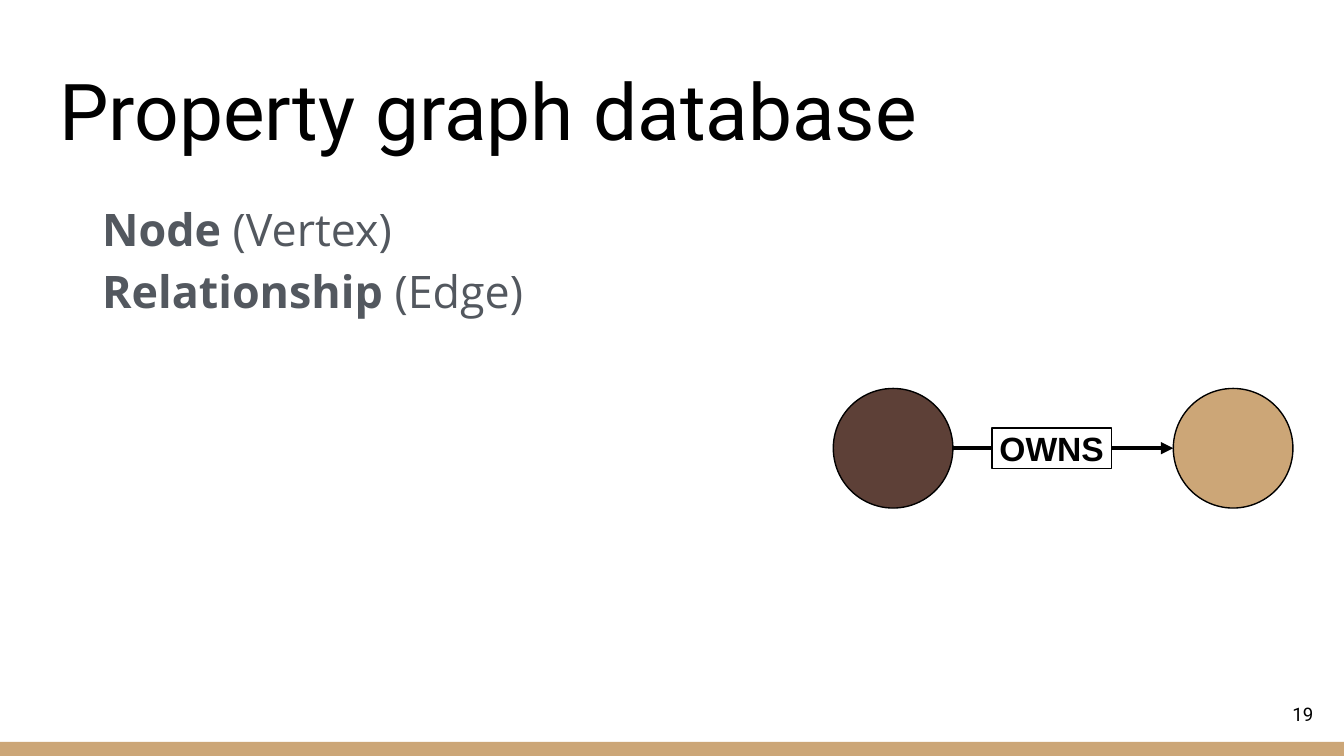
from pptx import Presentation
from pptx.dml.color import RGBColor
from pptx.enum.shapes import MSO_CONNECTOR, MSO_SHAPE
from pptx.enum.text import MSO_ANCHOR, MSO_AUTO_SIZE, PP_ALIGN
from pptx.oxml.ns import qn
from pptx.util import Inches, Pt
from lxml.etree import SubElement

# Content
TITLE = "Property graph database"
TERMS = [("Node ", "(Vertex)"), ("Relationship ", "(Edge)")]
EDGE_LABEL = "OWNS"
PAGE = "19"

COLORS = {"black": "000000", "white": "FFFFFF", "gray": "53585F",
          "brown": "5D4037", "tan": "CCA677"}
FORMATS = {
    "title": {"size": Pt(42), "name": "Roboto", "bold": False},
    "page": {"size": Pt(10), "name": "Roboto"},
    "term": {"size": Pt(24), "name": "Open Sans", "bold": True},
    "note": {"size": Pt(24), "name": "Open Sans", "bold": False},
    "edge": {"size": Pt(18), "name": "Arial", "bold": True},
}

# Graph geometry
NODE_SIZE = 0.89
NODES = [(6.2, "brown"), (8.73, "tan")]
NODE_TOP = 2.89
LABEL_LEFT, LABEL_W, LABEL_H = 7.38, 0.89, 0.3


def rgb(name):
    return RGBColor.from_string(COLORS[name])


def add_run(p, text, style, color="black"):
    r = p.add_run()
    r.text = text
    for key, value in FORMATS[style].items():
        setattr(r.font, key, value)
    r.font.color.rgb = rgb(color)


def set_frame(sp, anchor, margin=0.1):
    tf = sp.text_frame
    settings = {"word_wrap": True, "auto_size": MSO_AUTO_SIZE.NONE,
                "vertical_anchor": anchor}
    for side in ("left", "top", "right", "bottom"):
        settings[f"margin_{side}"] = Inches(margin)
    for key, value in settings.items():
        setattr(tf, key, value)
    return tf


def place(sp, *box):
    for key, value in zip(("left", "top", "width", "height"), box):
        setattr(sp, key, Inches(value))


def add_shape(kind, box, fill, outlined=True):
    sp = s.shapes.add_shape(kind, *map(Inches, box))
    sp.shadow.inherit = False
    sp.fill.solid()
    sp.fill.fore_color.rgb = rgb(fill)
    if outlined:
        sp.line.color.rgb = rgb("black")
        sp.line.width = Pt(0.75)
    else:
        sp.line.fill.background()
    return sp


# Widescreen slide, 16:9
prs = Presentation()
prs.slide_width = Inches(10)
prs.slide_height = prs.slide_width * 9 // 16
s = prs.slides.add_slide(prs.slide_layouts[1])

# Footer band and page number
add_shape(MSO_SHAPE.RECTANGLE, (0, 5.52, 10, 0.11), "tan", outlined=False)
page = s.shapes.add_textbox(*map(Inches, (9.27, 5.1, 0.6, 0.43)))
p = set_frame(page, MSO_ANCHOR.MIDDLE).paragraphs[0]
p.alignment = PP_ALIGN.RIGHT
add_run(p, PAGE, "page")

# Title
title = s.shapes.title
place(title, 0.34, 0.35, 9.32, 0.91)
p = set_frame(title, MSO_ANCHOR.BOTTOM).paragraphs[0]
p.alignment = PP_ALIGN.LEFT
add_run(p, TITLE, "title")

# Terms
body = s.placeholders[1]
place(body, 0.66, 1.34, 5.5, 1)
tf = set_frame(body, MSO_ANCHOR.TOP)
for i, (term, note) in enumerate(TERMS):
    p = tf.add_paragraph() if i else tf.paragraphs[0]
    pPr = p._p.get_or_add_pPr()
    pPr.set("marL", "0")
    pPr.set("indent", "0")
    SubElement(pPr, qn("a:buNone"))
    p.line_spacing = 1.15
    p.space_before = Pt(0)
    add_run(p, term, "term", "gray")
    add_run(p, note, "note", "gray")

# Edge arrow, from the first node to the second
start, end = NODES[0][0] + NODE_SIZE, NODES[1][0]
mid_y = NODE_TOP + NODE_SIZE / 2
edge = s.shapes.add_connector(MSO_CONNECTOR.STRAIGHT, Inches(start), Inches(mid_y),
                              Inches(end), Inches(mid_y))
edge.line.color.rgb = rgb("black")
edge.line.width = Pt(2.25)
SubElement(edge.line._get_or_add_ln(), qn("a:tailEnd"), type="triangle")
SubElement(edge._element.spPr, qn("a:effectLst"))

# Nodes
for left, fill in NODES:
    add_shape(MSO_SHAPE.OVAL, (left, NODE_TOP, NODE_SIZE, NODE_SIZE), fill)

# Edge label, vertically centred on the arrow
label = add_shape(MSO_SHAPE.RECTANGLE,
                  (LABEL_LEFT, mid_y - LABEL_H / 2, LABEL_W, LABEL_H), "white")
p = set_frame(label, MSO_ANCHOR.MIDDLE, margin=0).paragraphs[0]
p.alignment = PP_ALIGN.CENTER
add_run(p, EDGE_LABEL, "edge")

prs.save("out.pptx")
